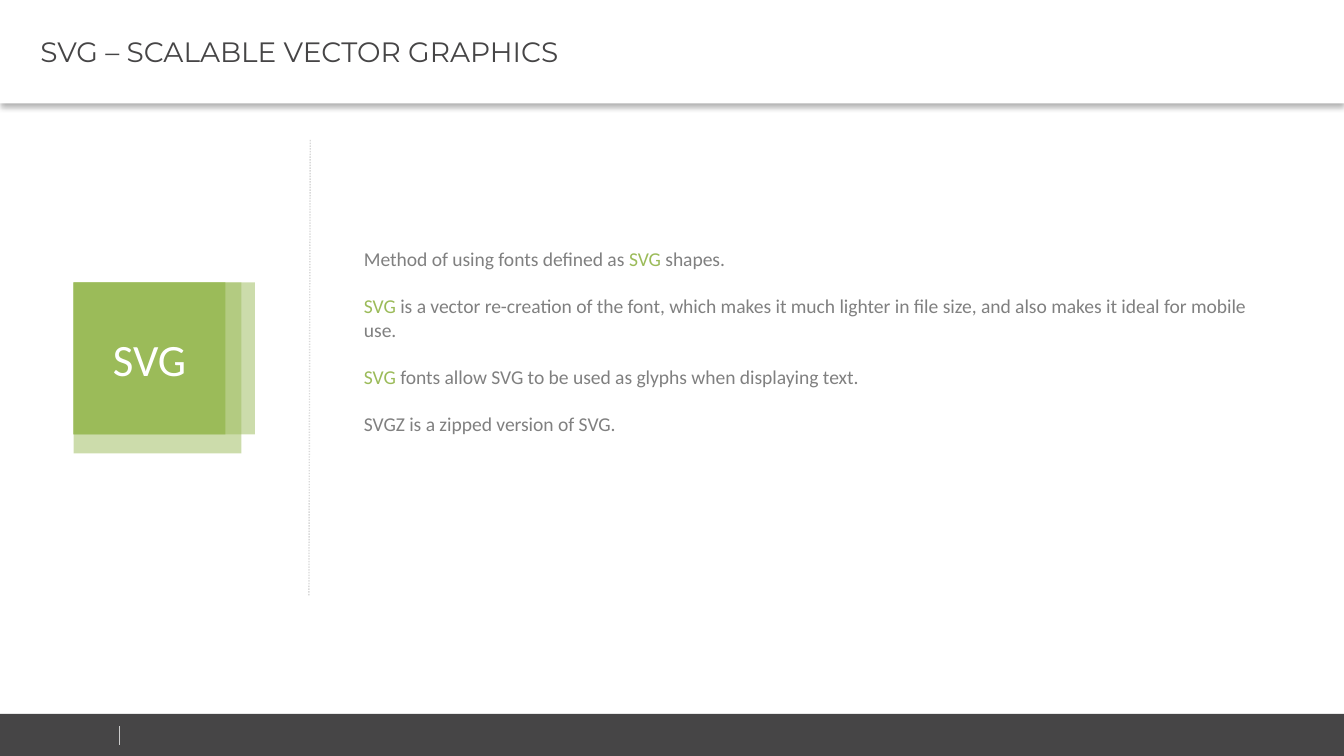
from lxml.etree import SubElement
from pptx import Presentation
from pptx.dml.color import RGBColor
from pptx.enum.dml import MSO_LINE
from pptx.enum.shapes import MSO_CONNECTOR, MSO_SHAPE
from pptx.enum.text import MSO_ANCHOR, PP_ALIGN
from pptx.oxml.ns import qn
from pptx.util import Pt

WHITE = RGBColor(0xFF, 0xFF, 0xFF)
BLACK = RGBColor(0x00, 0x00, 0x00)
DARK = RGBColor(0x46, 0x45, 0x46)
GRAY = RGBColor(0x80, 0x80, 0x80)
GREEN = RGBColor(0x9B, 0xBB, 0x59)
DIVIDER = RGBColor(0xD9, 0xD9, 0xD9)
TICK = RGBColor(0xCC, 0xCC, 0xCC)

WIDTH, HEIGHT = 720, 405
TILE_LEFT, TILE_TOP, TILE_SIZE = 39.4, 151.3, 81.4
BODY = [
    [("Method of using fonts defined as ", GRAY), ("SVG", GREEN), (" shapes.", GRAY)],
    [("SVG", GREEN), (" is a vector re-creation of the font, which makes it much lighter "
                      "in file size, and also makes it ideal for mobile use.", GRAY)],
    [("SVG", GREEN), (" fonts allow SVG to be used as glyphs when displaying text.", GRAY)],
    [("SVGZ is a zipped version of SVG.", GRAY)],
]


def add_alpha(color, percent):
    """Set the opacity of a colour element."""
    SubElement(color, qn("a:alpha"), val=str(percent * 1000))


def add_rect(s, left, top, width, height, fill, opacity=100):
    """Add a flat rectangle without an outline."""
    sp = s.shapes.add_shape(MSO_SHAPE.RECTANGLE, Pt(left), Pt(top), Pt(width), Pt(height))
    sp.shadow.inherit = False
    sp.fill.solid()
    sp.fill.fore_color.rgb = fill
    sp.line.fill.background()
    if opacity < 100:
        add_alpha(sp.fill._xPr.find(".//" + qn("a:srgbClr")), opacity)
    return sp


def add_line(s, x1, y1, x2, y2, color, width, dash=None):
    """Add a straight line without a shadow."""
    line = s.shapes.add_connector(MSO_CONNECTOR.STRAIGHT, Pt(x1), Pt(y1), Pt(x2), Pt(y2))
    line.line.color.rgb = color
    line.line.width = Pt(width)
    if dash:
        line.line.dash_style = dash
    SubElement(line._element.spPr, qn("a:effectLst"))


def add_run(p, text, font, size, color):
    """Append one formatted run to a paragraph."""
    r = p.add_run()
    r.text = text
    r.font.name = font
    r.font.size = Pt(size)
    r.font.color.rgb = color


def add_label(sp, text, font, size, color, align):
    """Write one vertically centred line in a shape."""
    tf = sp.text_frame
    tf.vertical_anchor = MSO_ANCHOR.MIDDLE
    p = tf.paragraphs[0]
    p.alignment = align
    add_run(p, text, font, size, color)


def add_drop_shadow(sp, color, opacity, blur, distance):
    """Cast a soft shadow straight down."""
    effects = sp._element.spPr.find(qn("a:effectLst"))
    shadow = SubElement(effects, qn("a:outerShdw"), blurRad=str(Pt(blur)),
                        dist=str(Pt(distance)), dir="5400000", algn="t", rotWithShape="0")
    add_alpha(SubElement(shadow, qn("a:srgbClr"), val=str(color)), opacity)


def add_footer(s):
    """Add the dark footer bar and its tick."""
    add_rect(s, 0, 382.4, WIDTH, HEIGHT - 382.4, DARK)
    add_line(s, 64, 389, 64, 399, TICK, 0.25)


def add_body(s):
    """Add the explanatory paragraphs."""
    box = s.shapes.add_textbox(Pt(187.9), Pt(128.9), Pt(494.6), Pt(108.7))
    tf = box.text_frame
    tf.word_wrap = True
    for i, runs in enumerate(BODY):
        p = tf.add_paragraph() if i else tf.paragraphs[0]
        if i:
            p.space_before = Pt(12.6)
        for text, color in runs:
            add_run(p, text, "Calibri", 10.5, color)


def add_tile(s):
    """Add the green tile over its two translucent layers."""
    for width, height in ((97.2, TILE_SIZE), (90, 91.6)):
        add_rect(s, TILE_LEFT, TILE_TOP, width, height, GREEN, 50)
    tile = add_rect(s, TILE_LEFT, TILE_TOP, TILE_SIZE, TILE_SIZE, GREEN)
    add_label(tile, "SVG", "Calibri", 24, WHITE, PP_ALIGN.CENTER)


def add_header(s):
    """Add the white title band with its shadow."""
    band = add_rect(s, 0, 0, WIDTH, 55.4, WHITE)
    add_drop_shadow(band, BLACK, 30, 3.1, 2)
    tf = band.text_frame
    tf.margin_left, tf.margin_right = Pt(21.6), Pt(5)
    tf.margin_top = tf.margin_bottom = Pt(2.9)
    add_label(band, "SVG – SCALABLE VECTOR GRAPHICS", "Montserrat", 15, DARK, PP_ALIGN.LEFT)


def main():
    """Build the slide and save it."""
    prs = Presentation()
    prs.slide_width, prs.slide_height = Pt(WIDTH), Pt(HEIGHT)
    s = prs.slides.add_slide(prs.slide_layouts[6])
    add_footer(s)
    add_body(s)
    add_tile(s)
    add_line(s, 166.2, 75, 165.5, 319, DIVIDER, 0.75, MSO_LINE.ROUND_DOT)
    add_header(s)
    prs.save("out.pptx")


if __name__ == "__main__":
    main()
